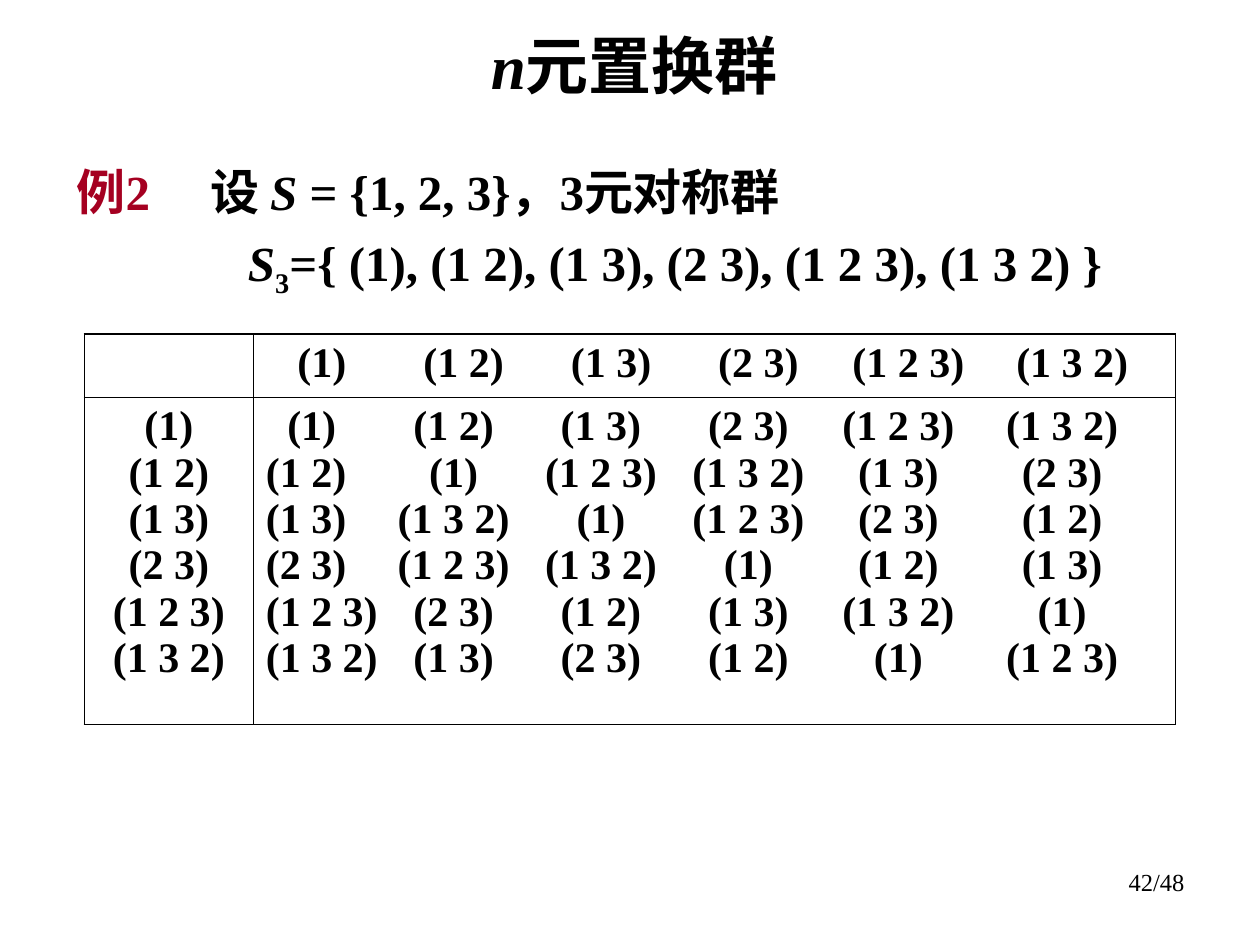
from dataclasses import dataclass

import pptx
import pptx.dml.color
import pptx.enum.text
import pptx.oxml.ns
import pptx.util
from lxml import etree
from pptx.util import Inches

ALIGN = pptx.enum.text.PP_ALIGN
ANCHOR = pptx.enum.text.MSO_ANCHOR
BLACK, CRIMSON = "000000", "A50021"
SERIF = "Times New Roman"
THIN, THICK = 0.45, 1.08
COLUMN_CENTRES = (1.49, 2.66, 3.83, 5.02, 6.32)
HEADER_SHIFT = 0.08


@dataclass(frozen=True)
class TabStop:
    position: float
    align: str = "l"


@dataclass(frozen=True)
class ProductRow:
    factor: str
    products: tuple[str, ...]
    start: float = 0


ELEMENTS = ("(1)", "(1 2)", "(1 3)", "(2 3)", "(1 2 3)", "(1 3 2)")
PRODUCT_ROWS = (
    ProductRow("(1)", ELEMENTS, start=0.17),
    ProductRow("(1 2)", ("(1 2)", "(1)", "(1 2 3)", "(1 3 2)", "(1 3)", "(2 3)")),
    ProductRow("(1 3)", ("(1 3)", "(1 3 2)", "(1)", "(1 2 3)", "(2 3)", "(1 2)")),
    ProductRow("(2 3)", ("(2 3)", "(1 2 3)", "(1 3 2)", "(1)", "(1 2)", "(1 3)")),
    ProductRow("(1 2 3)", ("(1 2 3)", "(2 3)", "(1 2)", "(1 3)", "(1 3 2)", "(1)")),
    ProductRow("(1 3 2)", ("(1 3 2)", "(1 3)", "(2 3)", "(1 2)", "(1)", "(1 2 3)")),
)


def rgb(colour: str) -> pptx.dml.color.RGBColor:
    return pptx.dml.color.RGBColor.from_string(colour)


def add_element(parent, tag: str, **attributes):
    return etree.SubElement(parent, pptx.oxml.ns.qn(tag), attributes)


def add_run(paragraph, text: str, *, size: float, font: str = SERIF, colour: str = BLACK,
            bold: bool = True, italic: bool = False, baseline: int = 0) -> None:
    run = paragraph.add_run()
    run.text = text
    run.font.size = pptx.util.Pt(size)
    run.font.name = font
    run.font.color.rgb = rgb(colour)
    run.font.bold = bold
    run.font.italic = italic
    if baseline:
        run.font._element.set("baseline", str(baseline * 1000))


def set_tabs(paragraph, *tabs: TabStop) -> None:
    stops = add_element(paragraph._p.get_or_add_pPr(), "a:tabLst")
    for tab in tabs:
        add_element(stops, "a:tab", pos=str(Inches(tab.position)), algn=tab.align)


def add_text_box(slide, left: float, top: float, width: float, height: float,
                 anchor=ANCHOR.TOP):
    frame = slide.shapes.add_textbox(
        Inches(left), Inches(top), Inches(width), Inches(height)).text_frame
    frame.word_wrap = True
    frame.vertical_anchor = anchor
    return frame


def next_paragraph(frame, index: int):
    return frame.add_paragraph() if index else frame.paragraphs[0]


def set_borders(cell, row: int, column: int) -> None:
    """Draw thick lines on the outside of the two-by-two table, thin ones inside."""
    widths = {"L": THIN if column else THICK, "R": THICK if column else THIN,
              "T": THIN if row else THICK, "B": THICK if row else THIN}
    properties = cell._tc.get_or_add_tcPr()
    for side, width in widths.items():
        line = add_element(properties, f"a:ln{side}", w=str(pptx.util.Pt(width)))
        fill = add_element(line, "a:solidFill")
        add_element(fill, "a:srgbClr", val=BLACK)


def add_products(paragraph, products: tuple[str, ...], start: float, shift: float = 0) -> None:
    tabs = [TabStop(centre + shift, "ctr") for centre in COLUMN_CENTRES]
    text = "\t".join(products)
    if start:
        tabs.insert(0, TabStop(start))
        text = "\t" + text
    set_tabs(paragraph, *tabs)
    add_run(paragraph, text, size=24)


def add_group_table(slide) -> None:
    table = slide.shapes.add_table(
        2, 2, Inches(0.67), Inches(2.65), Inches(8.66), Inches(3.1)).table
    table.first_row = table.horz_banding = False
    for column, width in zip(table.columns, (1.34, 7.32)):
        column.width = Inches(width)
    for row, height in zip(table.rows, (0.5, 2.6)):
        row.height = Inches(height)
    for row in range(2):
        for column in range(2):
            cell = table.cell(row, column)
            set_borders(cell, row, column)
            cell.fill.background()

    # Column headings
    heading = table.cell(0, 1).text_frame.paragraphs[0]
    add_products(heading, ELEMENTS, 0.25, HEADER_SHIFT)

    # Left factors and their products
    factors, products = (table.cell(1, column).text_frame for column in range(2))
    for index, row in enumerate(PRODUCT_ROWS):
        factor = next_paragraph(factors, index)
        factor.alignment = ALIGN.CENTER
        add_run(factor, row.factor, size=24)
        add_products(next_paragraph(products, index), row.products, row.start)


def main() -> None:
    presentation = pptx.Presentation()
    presentation.slide_width, presentation.slide_height = Inches(10), Inches(7.5)
    slide = presentation.slides.add_slide(presentation.slide_layouts[6])

    # Page number
    page = add_text_box(slide, 7.17, 6.83, 2.33, 0.52).paragraphs[0]
    page.alignment = ALIGN.RIGHT
    add_run(page, "42/48", size=14, bold=False)

    # Title
    title = add_text_box(slide, 1.69, 0.28, 6.69, 0.46, ANCHOR.MIDDLE).paragraphs[0]
    title.alignment = ALIGN.CENTER
    add_run(title, "n", size=36, italic=True)
    add_run(title, "元置换群", size=36, font="Arial")

    # Example
    example = add_text_box(slide, 0.51, 1.23, 8.91, 1.34)
    premise = example.paragraphs[0]
    set_tabs(premise, TabStop(1.06))
    add_run(premise, "例2\t", size=28, colour=CRIMSON)
    add_run(premise, "设 ", size=28)
    add_run(premise, "S ", size=28, italic=True)
    add_run(premise, "= {1, 2, 3}，3元对称群", size=28)

    group = example.add_paragraph()
    set_tabs(group, TabStop(1.36))
    group.space_before = pptx.util.Pt(7)
    add_run(group, "\tS", size=28, italic=True)
    add_run(group, "3", size=28, baseline=-25)
    add_run(group, "={ (1), (1 2), (1 3), (2 3), (1 2 3), (1 3 2) }", size=28)

    # Multiplication table
    add_group_table(slide)

    presentation.save("out.pptx")


if __name__ == "__main__":
    main()
